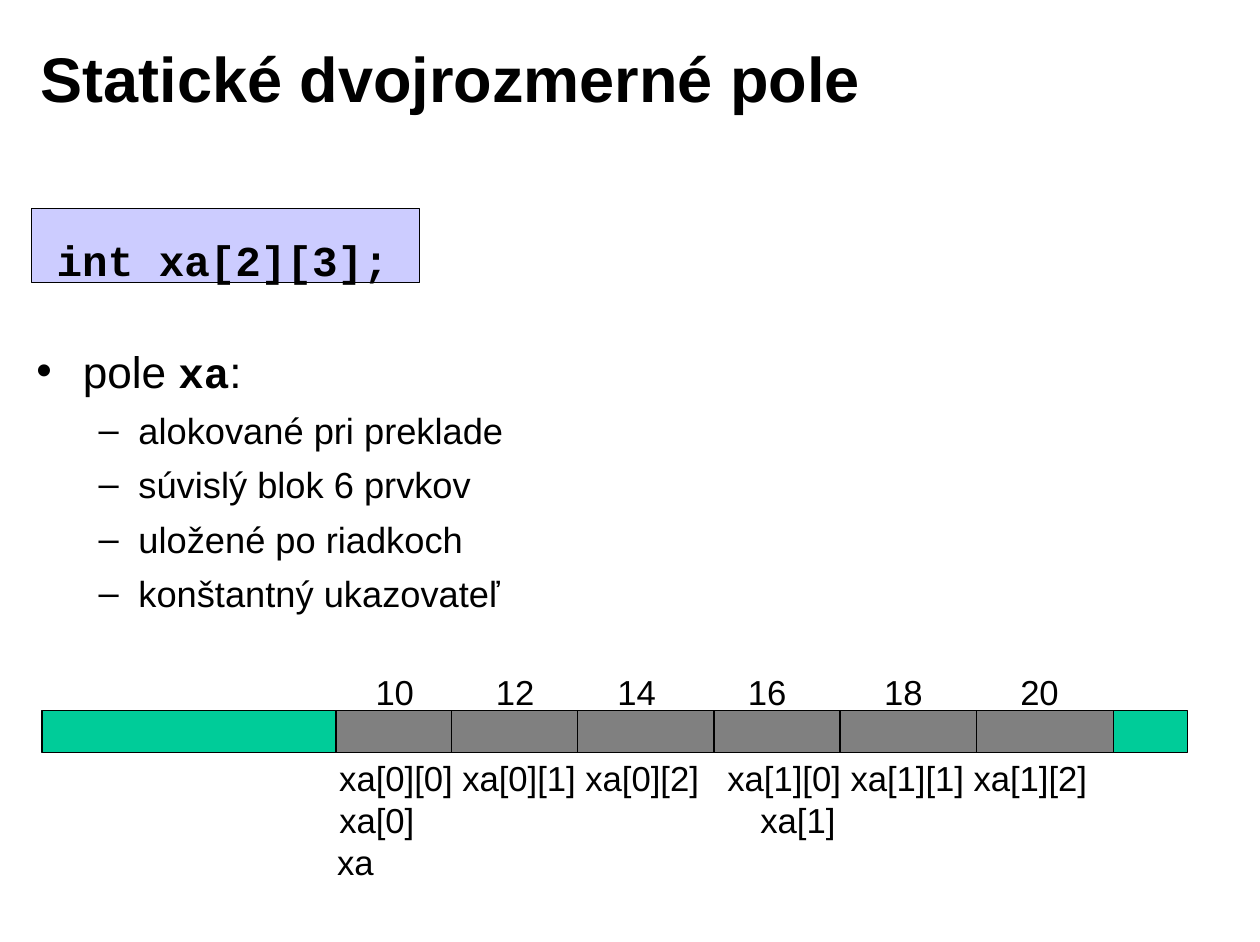
"""Build the slide about a static two-dimensional array."""
from typing import NamedTuple

from lxml.etree import SubElement
from pptx import Presentation
from pptx.dml.color import RGBColor
from pptx.enum.shapes import MSO_CONNECTOR as Connector, MSO_SHAPE as Shape
from pptx.enum.text import MSO_ANCHOR as Anchor, MSO_AUTO_SIZE as AutoSize, PP_ALIGN as Align
from pptx.oxml.ns import qn
from pptx.util import Inches, Length, Pt

BLACK = RGBColor(0x00, 0x00, 0x00)
LAVENDER = RGBColor(0xCC, 0xCC, 0xFF)
GREY = RGBColor(0x80, 0x80, 0x80)
GREEN = RGBColor(0x00, 0xCC, 0x99)
SANS, MONO = "Arial", "Courier New"
WIDTH, HEIGHT = Inches(11.1), Inches(8.3)
LINE_WIDTH = Pt(0.75)
TAB_STOP = Inches(3.71)


class Area(NamedTuple):
    """A rectangle in percent of the slide's width and height."""
    left: float
    top: float
    width: float
    height: float


class Label(NamedTuple):
    """A text beside the memory strip, placed in percent of the slide."""
    text: str
    left: float
    top: float
    width: float


STRIP_TOP, STRIP_HEIGHT, LABEL_HEIGHT = 75.42, 4.46, 5.66
STRIP_LEFT, STRIP_RIGHT = 3.33, 94.23
CELL_EDGES = [26.67, 35.86, 45.86, 56.67, 66.67, 77.48, 88.38]
ADDRESS_LEFTS = [28.92, 38.47, 48.11, 58.47, 69.28, 80.09]
SEGMENTS = [
    (CELL_EDGES[0], CELL_EDGES[-1], GREY),
    (CELL_EDGES[-1], STRIP_RIGHT, GREEN),
    (STRIP_LEFT, CELL_EDGES[0], GREEN),
]
LABELS = [Label(str(10 + 2 * index), left, 70.6, 4.86)
          for index, left in enumerate(ADDRESS_LEFTS)] + [
    Label("xa[0][0] xa[0][1] xa[0][2]", 26.04, 79.76, 30.36),
    Label("xa[1][0] xa[1][1] xa[1][2]", 56.85, 79.76, 30.36),
    Label("xa[0]\txa[1]", 26.04, 84.22, 45),
    Label("xa", 25.86, 88.67, 4.68),
]
DETAILS = ["alokované pri preklade", "súvislý blok 6 prvkov",
           "uložené po riadkoch", "konštantný ukazovateľ"]


def across(percent: float) -> Length:
    """Return a share of the slide's width."""
    return Length(round(WIDTH * percent / 100))


def down(percent: float) -> Length:
    """Return a share of the slide's height."""
    return Length(round(HEIGHT * percent / 100))


def place(area: Area) -> tuple:
    """Return the position and size of an area."""
    return across(area.left), down(area.top), across(area.width), down(area.height)


def move(holder, area: Area) -> None:
    """Move a placeholder to an area."""
    holder.left, holder.top, holder.width, holder.height = place(area)


def style(span, size: float, name: str = SANS, bold: bool = False) -> None:
    """Format a run."""
    font = span.font
    font.size, font.name, font.bold = Pt(size), name, bold
    font.color.rgb = BLACK


def set_margins(frame, left: float, top: float) -> None:
    """Set the inner margins of a text frame."""
    frame.margin_left, frame.margin_top = Inches(left), Inches(top)
    frame.margin_right, frame.margin_bottom = Inches(0.11), 0


def add_block(page, area: Area, color: RGBColor):
    """Draw an outlined rectangle."""
    block = page.shapes.add_shape(Shape.RECTANGLE, *place(area))
    block.shadow.inherit = False
    block.fill.solid()
    block.fill.fore_color.rgb = color
    block.line.color.rgb = BLACK
    block.line.width = LINE_WIDTH
    return block


def add_divider(page, left: float) -> None:
    """Draw a line between two memory cells."""
    x = across(left)
    line = page.shapes.add_connector(
        Connector.STRAIGHT, x, down(STRIP_TOP), x, down(STRIP_TOP + STRIP_HEIGHT))
    line.line.color.rgb = BLACK
    line.line.width = LINE_WIDTH
    SubElement(line._element.spPr, qn("a:effectLst"))


def add_label(page, label: Label) -> None:
    """Write a label, with a tab stop when it has two columns."""
    area = Area(label.left, label.top, label.width, LABEL_HEIGHT)
    frame = page.shapes.add_textbox(*place(area)).text_frame
    frame.text = label.text
    frame.word_wrap = "\t" in label.text
    para = frame.paragraphs[0]
    if frame.word_wrap:
        tabs = SubElement(para._p.get_or_add_pPr(), qn("a:tabLst"))
        SubElement(tabs, qn("a:tab"), pos=str(TAB_STOP), algn="l")
    for span in para.runs:
        style(span, 22)


def fill_title(title) -> None:
    """Write the slide's title."""
    move(title, Area(2.25, 2.05, 80.27, 12.29))
    frame = title.text_frame
    frame.text = "Statické dvojrozmerné pole"
    frame.auto_size = AutoSize.NONE
    frame.vertical_anchor = Anchor.MIDDLE
    set_margins(frame, 0.11, 0)
    para = frame.paragraphs[0]
    para.alignment = Align.LEFT
    style(para.runs[0], 40, bold=True)


def indent(para, left: float, hanging: float) -> None:
    """Set the hanging indent of a list item."""
    properties = para._p.get_or_add_pPr()
    properties.set("marL", str(Inches(left)))
    properties.set("indent", str(-Inches(hanging)))


def fill_body(body) -> None:
    """Write the list about the array."""
    move(body, Area(1.89, 35.42, 96.04, 31.33))
    frame = body.text_frame
    frame.auto_size = AutoSize.NONE
    frame.vertical_anchor = Anchor.TOP
    set_margins(frame, 0.11, 0.09)
    lead = frame.paragraphs[0]
    lead.space_before = Pt(0)
    indent(lead, 0.41, 0.41)
    for text, size, name, bold in [("pole ", 28, SANS, False),
                                   ("xa", 27, MONO, True), (":", 28, SANS, False)]:
        span = lead.add_run()
        span.text = text
        style(span, size, name, bold)
    for text in DETAILS:
        para = frame.add_paragraph()
        para.text = text
        para.level = 1
        para.space_before = Pt(7)
        indent(para, 0.9, 0.35)
        style(para.runs[0], 23)


def add_code(page) -> None:
    """Draw the declaration in its box."""
    frame = add_block(page, Area(2.52, 22.17, 30.81, 7.83), LAVENDER).text_frame
    frame.text = "int xa[2][3];"
    frame.word_wrap = False
    frame.vertical_anchor = Anchor.TOP
    set_margins(frame, 0.22, 0.22)
    para = frame.paragraphs[0]
    para.alignment = Align.LEFT
    style(para.runs[0], 27, MONO, True)


def main() -> None:
    """Build and save the deck."""
    deck = Presentation()
    deck.slide_width, deck.slide_height = WIDTH, HEIGHT
    page = deck.slides.add_slide(deck.slide_layouts[1])
    fill_title(page.shapes.title)
    fill_body(page.placeholders[1])
    add_code(page)
    for left, right, color in SEGMENTS:
        add_block(page, Area(left, STRIP_TOP, right - left, STRIP_HEIGHT), color)
    for edge in CELL_EDGES[1:-1]:
        add_divider(page, edge)
    for label in LABELS:
        add_label(page, label)
    deck.save("out.pptx")


if __name__ == "__main__":
    main()
